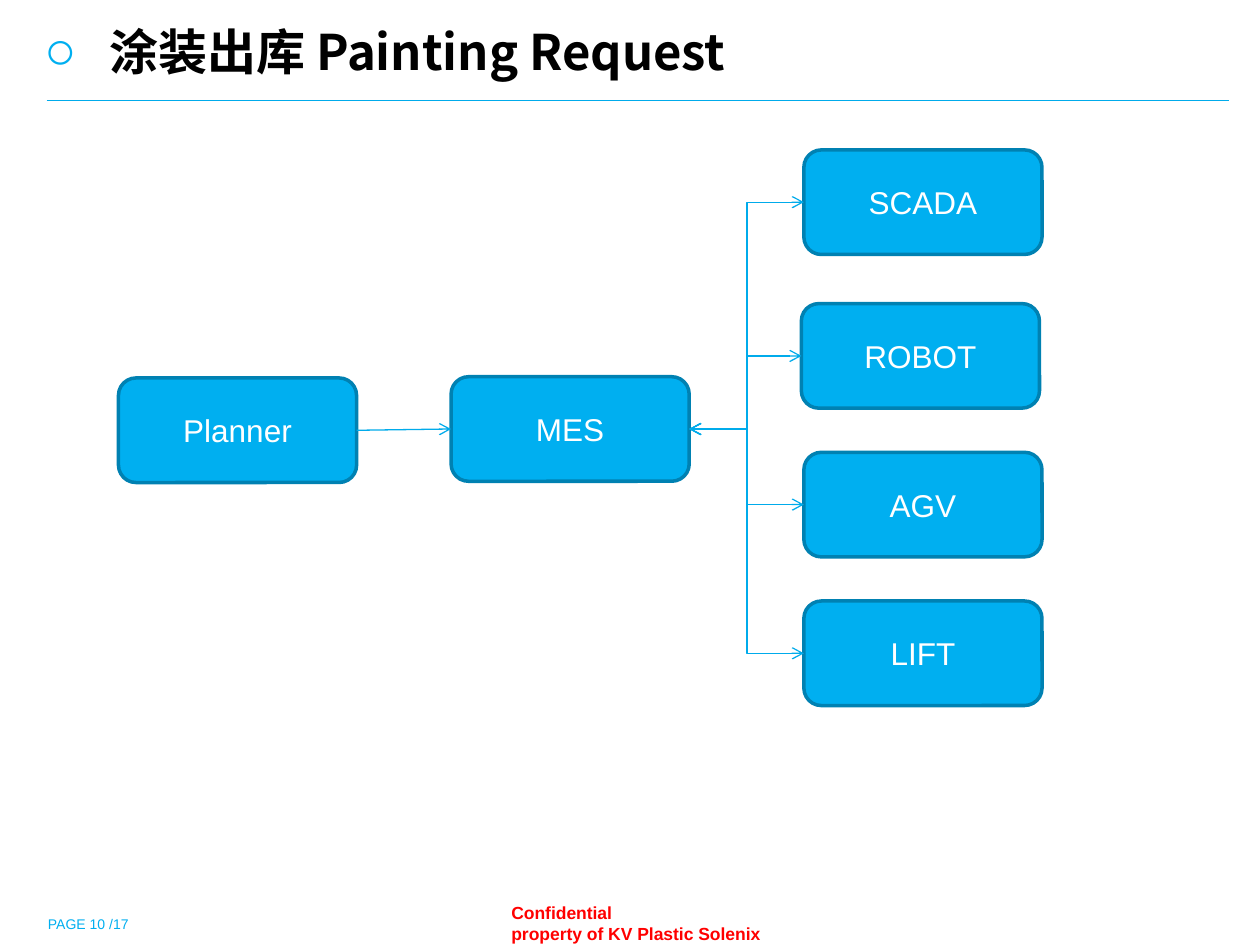
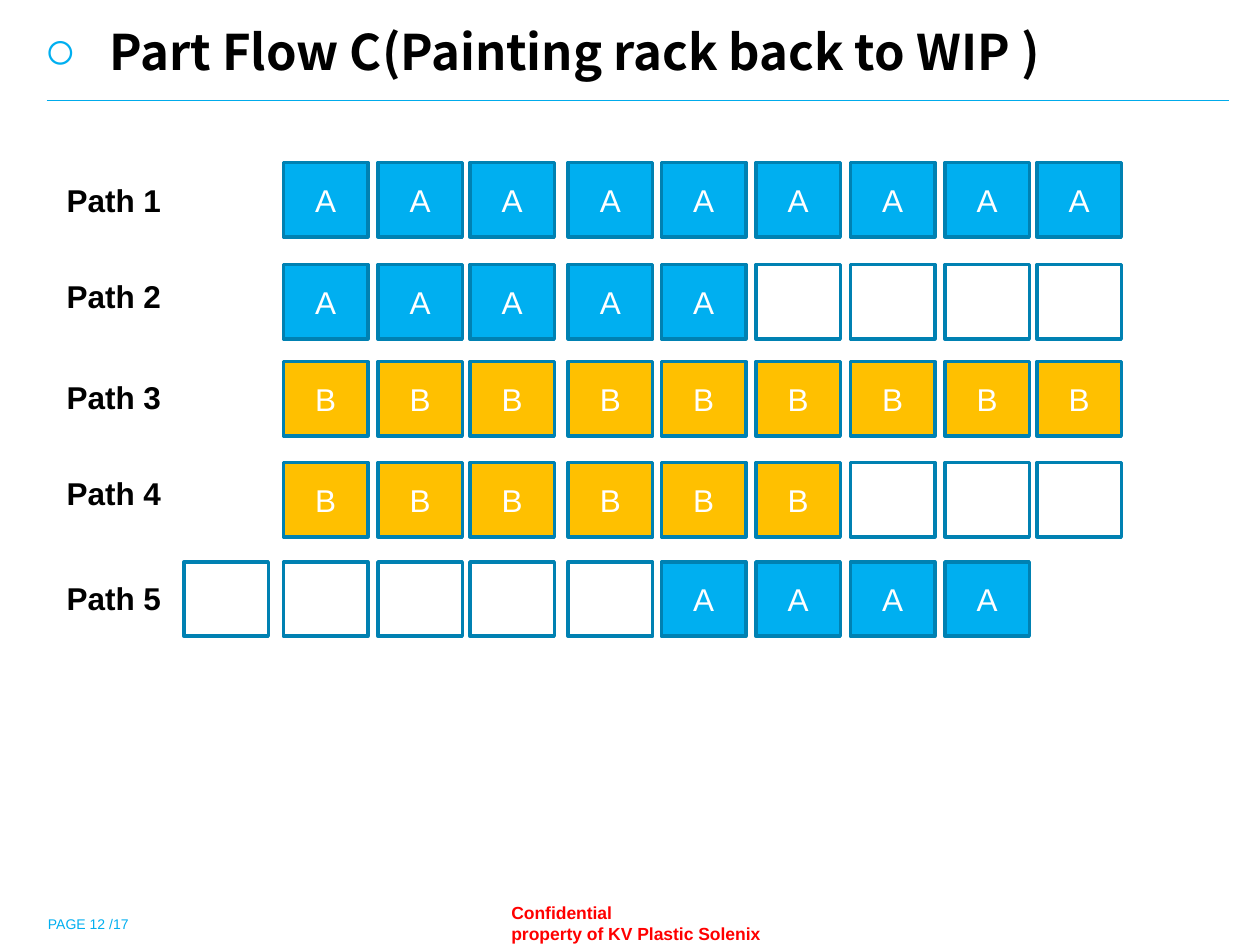
"""Builds two production-flow slides: a painting request diagram and a rack path grid."""
from lxml.etree import SubElement
from pptx import Presentation
from pptx.dml.color import RGBColor
from pptx.enum.shapes import MSO_CONNECTOR as CONN, MSO_SHAPE as SHAPE
from pptx.enum.text import MSO_ANCHOR as ANCHOR, MSO_AUTO_SIZE as AUTO, PP_ALIGN as ALIGN
from pptx.oxml.ns import qn
from pptx.util import Inches, Pt

BLUE = RGBColor(0x00, 0xAF, 0xF0)
LINE_BLUE = RGBColor(0x00, 0xAB, 0xEB)
DARK_BLUE = RGBColor(0x00, 0x81, 0xB2)
AMBER = RGBColor(0xFF, 0xC0, 0x00)
RED = RGBColor(0xFF, 0x00, 0x00)
GREY = RGBColor(0xC0, 0xC0, 0xC0)
WHITE = RGBColor(0xFF, 0xFF, 0xFF)
BLACK = RGBColor(0x00, 0x00, 0x00)
BODY_FONT, TITLE_FONT = "Arial", "Noto Sans CJK SC"
SLIDE_SIZE = (10, 7.5)

CONFIDENTIAL = "Confidential\vproperty of KV Plastic Solenix"
REQUEST = {"title": "涂装出库 Painting Request", "page": "PAGE 10 /17"}
FLOW = {"title": "Part Flow C(Painting rack back to WIP )", "page": "PAGE 12 /17"}

SOURCES = [("Planner", 0.94, 3.0), ("MES", 3.58, 2.99)]
TARGETS = [("SCADA", 6.38, 1.19), ("ROBOT", 6.36, 2.41), ("AGV", 6.38, 3.59), ("LIFT", 6.38, 4.77)]
NODE_SIZE = (1.89, 0.83)
BEND_X = 5.93

EMPTY = "_"
PATHS = [
    {"label": "Path 1", "label_y": 1.39, "y": 1.29, "first_col": 1, "racks": "AAAAAAAAA"},
    {"label": "Path 2", "label_y": 2.15, "y": 2.10, "first_col": 1, "racks": "AAAAA____"},
    {"label": "Path 3", "label_y": 2.95, "y": 2.87, "first_col": 1, "racks": "BBBBBBBBB"},
    {"label": "Path 4", "label_y": 3.71, "y": 3.67, "first_col": 1, "racks": "BBBBBB___"},
    {"label": "Path 5", "label_y": 4.55, "y": 4.46, "first_col": 0, "racks": "_____AAAA"},
]
COLS = [1.46, 2.25, 3, 3.73, 4.51, 5.25, 6, 6.75, 7.5, 8.23]
RACK_FILLS = {"A": BLUE, "B": AMBER, EMPTY: WHITE}
RACK_SIZE = (0.67, 0.59)


def write(tf, text, size=18, color=WHITE, bold=False, font=BODY_FONT, align=ALIGN.LEFT):
    """Put one formatted paragraph in a text frame and return it."""
    tf.text = text
    p = tf.paragraphs[0]
    p.alignment = align
    for r in p.runs:
        r.font.name, r.font.size, r.font.bold = font, Pt(size), bold
        r.font.color.rgb = color
        SubElement(r._r.get_or_add_rPr(), qn("a:ea"), typeface=font)
    return p


def add_text(s, text, x, y, w, h, **fmt):
    """Add a wrapping text box and return its frame."""
    tf = s.shapes.add_textbox(*map(Inches, (x, y, w, h))).text_frame
    tf.word_wrap = True
    write(tf, text, **fmt)
    return tf


def add_box(s, kind, text, x, y, size, fill=BLUE, line=DARK_BLUE):
    """Add a filled box, with an outline and centred text when given."""
    sp = s.shapes.add_shape(kind, *map(Inches, (x, y, *size)))
    sp.shadow.inherit = False
    sp.fill.solid()
    sp.fill.fore_color.rgb = fill
    if line is None:
        sp.line.fill.background()
    else:
        sp.line.color.rgb, sp.line.width = line, Pt(2)
    if text:
        sp.text_frame.vertical_anchor = ANCHOR.MIDDLE
        write(sp.text_frame, text, align=ALIGN.CENTER)
    return sp


def add_line(s, kind=CONN.STRAIGHT, points=(0, 0, 0, 0), ends=None, arrows=()):
    """Add a thin line at points, or from the right of one shape to the left of another."""
    c = s.shapes.add_connector(kind, *map(Inches, points))
    if ends:
        c.begin_connect(ends[0], 3)
        c.end_connect(ends[1], 1)
    c.line.color.rgb, c.line.width = LINE_BLUE, Pt(0.75)
    for arrow in arrows:
        SubElement(c.line._get_or_add_ln(), qn(f"a:{arrow}"), type="arrow")
    SubElement(c._element.spPr, qn("a:effectLst"))
    return c


def bend_at(c, x):
    """Move the middle leg of an elbow connector to x inches."""
    ratio = (Inches(x) - c.left) / c.width
    guides = c._element.spPr.find(qn("a:prstGeom")).get_or_add_avLst()
    SubElement(guides, qn("a:gd"), name="adj1", fmla=f"val {round(ratio * 100000)}")


def add_title(s, text):
    """Format the title placeholder with its ring bullet."""
    sp = s.shapes.title
    sp.left, sp.top, sp.width, sp.height = map(Inches, (0.25, 0.17, 9.66, 0.47))
    tf = sp.text_frame
    tf.auto_size, tf.vertical_anchor, tf.margin_top = AUTO.NONE, ANCHOR.TOP, 0
    p = write(tf, text, size=28, color=BLACK, bold=True, font=TITLE_FONT)
    pPr = p._p.get_or_add_pPr()
    pPr.set("marL", str(Inches(0.52)))
    pPr.set("indent", str(-Inches(0.52)))
    SubElement(SubElement(pPr, qn("a:buClr")), qn("a:srgbClr"), val=str(BLUE))
    SubElement(pPr, qn("a:buSzPct"), val="110000")
    SubElement(pPr, qn("a:buFont"), typeface=BODY_FONT)
    SubElement(pPr, qn("a:buChar"), char="○")


def new_slide(prs, title, page):
    """Add a slide with the shared backdrop, title, rule and footers."""
    s = prs.slides.add_slide(prs.slide_layouts[5])
    s.background.fill.solid()
    s.background.fill.fore_color.rgb = GREY
    backdrop = add_box(s, SHAPE.RECTANGLE, "", 0, 0, SLIDE_SIZE, WHITE, line=None)
    s.shapes.title._element.addprevious(backdrop._element)
    add_title(s, title)
    add_line(s, points=(0.37, 0.8, 9.75, 0.8))
    add_text(s, CONFIDENTIAL, 3.96, 7.11, 2.29, 0.43, size=10, color=RED, bold=True)
    tf = add_text(s, page, 0.38, 7.15, 8.03, 0.25, size=8, color=BLUE)
    tf.margin_left = tf.margin_right = tf.margin_top = tf.margin_bottom = 0
    tf.vertical_anchor = ANCHOR.BOTTOM
    return s


def build_request(prs):
    """Draw the systems and the links between them."""
    s = new_slide(prs, **REQUEST)
    nodes = [add_box(s, SHAPE.ROUNDED_RECTANGLE, *node, NODE_SIZE) for node in SOURCES + TARGETS]
    planner, mes, *targets = nodes
    for target in targets:
        c = add_line(s, CONN.ELBOW, ends=(mes, target), arrows=("headEnd", "tailEnd"))
        bend_at(c, BEND_X)
    add_line(s, ends=(planner, mes), arrows=("tailEnd",))


def build_flow(prs):
    """Draw the rack positions of every path."""
    s = new_slide(prs, **FLOW)
    for path in PATHS:
        add_text(s, path["label"], 0.43, path["label_y"], 1.22, 0.4, color=BLACK, bold=True)
        for x, rack in zip(COLS[path["first_col"]:], path["racks"]):
            text = "" if rack == EMPTY else rack
            add_box(s, SHAPE.RECTANGLE, text, x, path["y"], RACK_SIZE, RACK_FILLS[rack])


def main():
    """Build and save the presentation."""
    prs = Presentation()
    prs.slide_width, prs.slide_height = map(Inches, SLIDE_SIZE)
    build_request(prs)
    build_flow(prs)
    prs.save("out.pptx")


if __name__ == "__main__":
    main()
